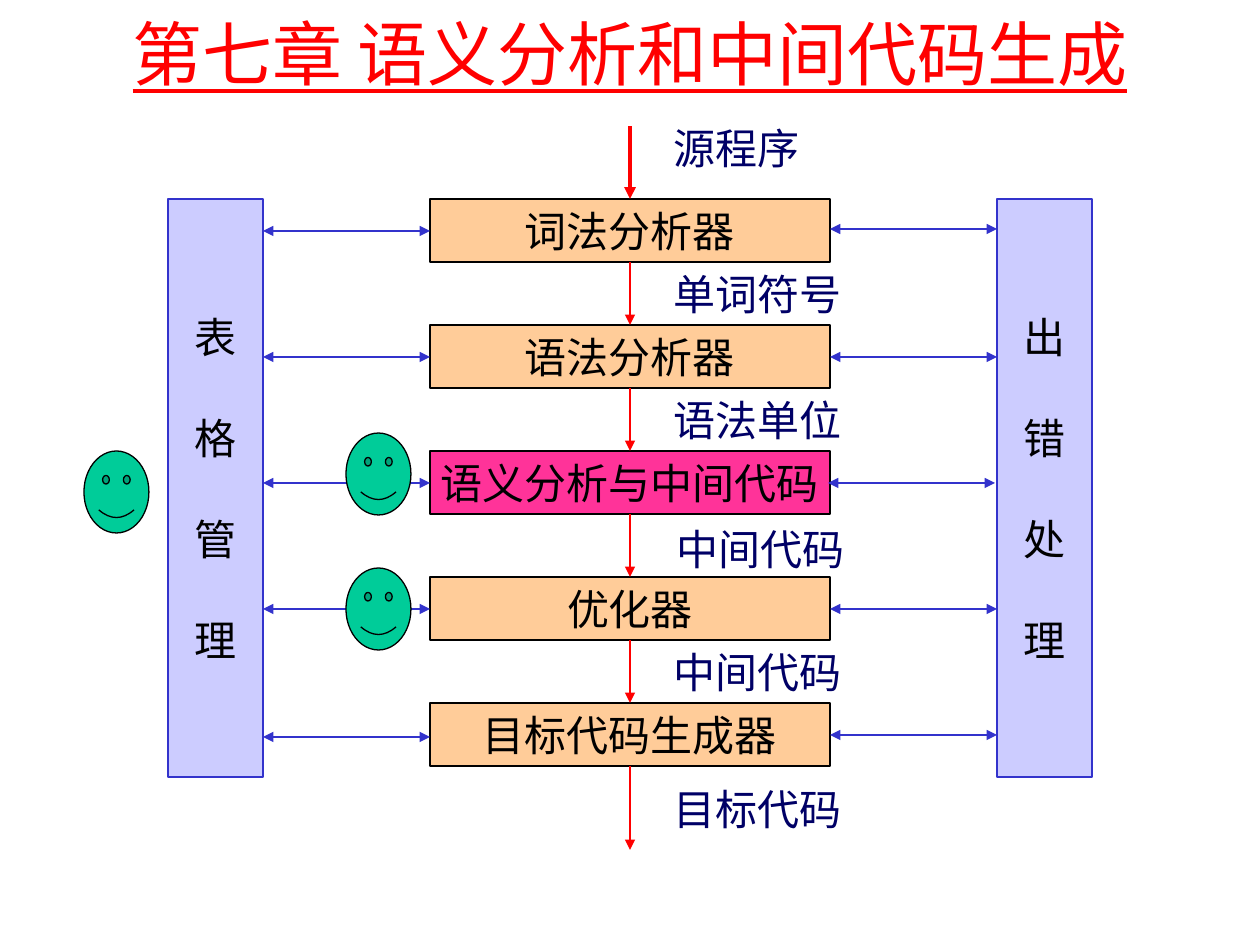
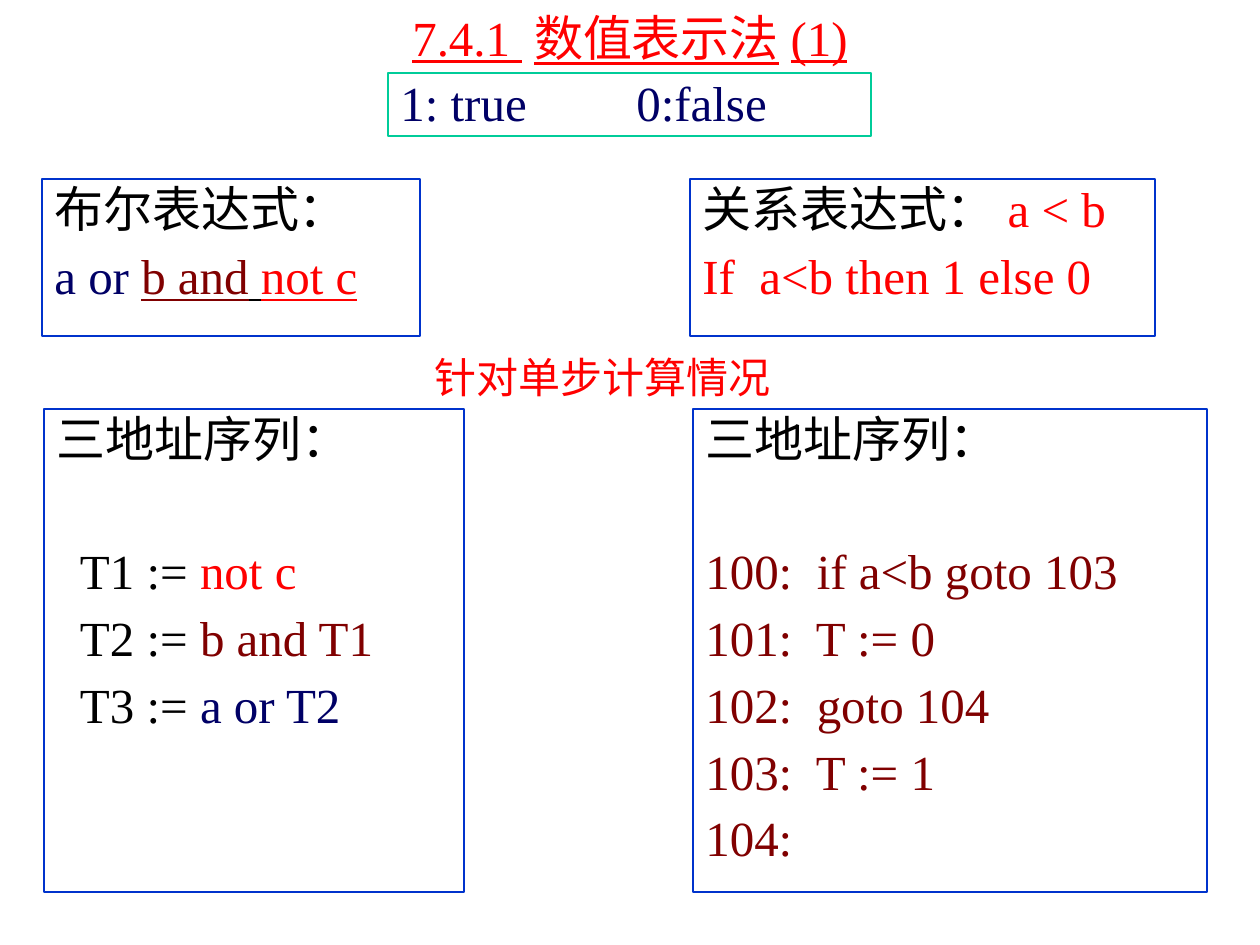
from lxml.etree import SubElement
from pptx import Presentation
from pptx.dml.color import RGBColor
from pptx.enum.shapes import MSO_CONNECTOR, MSO_SHAPE as Preset
from pptx.enum.text import MSO_ANCHOR as Anchor, PP_ALIGN as Align
from pptx.oxml.ns import qn
from pptx.util import Emu, Pt

PX = 914400 / 126
FONT = "Times New Roman"
COLORS = {
    "red": "FF0000", "black": "000000", "navy": "000066", "maroon": "800000",
    "orange": "FFCC99", "pink": "FF3399", "lavender": "CCCCFF",
    "indigo": "3333CC", "blue": "0033CC", "green": "00CC99",
}

# Compiler stages: name, fill, y of left arrow, y of right arrow, shift of right arrow
STAGES = [
    ("词法分析器", "orange", 231, 229, 0),
    ("语法分析器", "orange", 357, 357, 0),
    ("语义分析与中间代码", "pink", 483, 483, -2),
    ("优化器", "orange", 609, 609, 0),
    ("目标代码生成器", "orange", 737, 735, 0),
]
STAGE_LEFT, STAGE_TOP, STAGE_WIDTH, STAGE_HEIGHT, STAGE_PITCH = 430, 199, 400, 63, 126
FLOW_X, FLOW_START, FLOW_END = 630, 126, 850
FLOW_LABELS = [
    ("源程序", 661, 116), ("单词符号", 661, 262), ("语法单位", 661, 388),
    ("中间代码", 664, 517), ("中间代码", 661, 640), ("目标代码", 661, 777),
]
SIDE_BARS = [("表格管理", 168), ("出错处理", 997)]
BAR_WIDTH, BAR_HEIGHT = 95, 578
BAR_LETTER_GAP = 29
FACES = [(346, 433), (346, 568), (84, 451)]

# Panels: box, line colour, paragraphs of (text, colour, underlined) runs
SEQUENCE_HEADING = [("三地址序列：", "black", False)]
PANELS = [
    ((388, 73, 483, 63), "green", [[("1: true\t0:false", "navy", False)]]),
    ((42, 179, 378, 157), "blue", [
        [("布尔表达式：", "black", False)],
        [("a or ", "navy", False), ("b and", "maroon", True),
         (" ", "black", True), ("not c", "red", True)],
    ]),
    ((690, 179, 465, 157), "blue", [
        [("关系表达式：", "black", False), ("a < b", "red", False)],
        [("If  a<b then 1 else 0", "red", False)],
    ]),
    ((44, 409, 420, 483), "blue", [SEQUENCE_HEADING] + [
        [(f"  {target} := ", "black", False), (value, color, False)]
        for target, value, color in [
            ("T1", "not c", "red"), ("T2", "b and T1", "maroon"), ("T3", "a or T2", "navy")]
    ]),
    ((693, 409, 514, 483), "blue", [SEQUENCE_HEADING] + [
        [(line, "maroon", False)] for line in [
            "100:  if a<b goto 103", "101:  T := 0", "102:  goto 104", "103:  T := 1", "104:"]
    ]),
]
PANEL_GAP, HEADING_GAP = 8, 45
FALSE_TAB = 236


def px(length):
    return Emu(round(length * PX))


def rgb(name):
    return RGBColor.from_string(COLORS[name])


def style(font, size, color, underline=False):
    font.name = FONT
    font.size = Pt(size)
    font.color.rgb = rgb(color)
    if underline:
        font.underline = True


def add_label(slide, text, box, size, color, align=Align.LEFT, anchor=Anchor.TOP,
              underline=False):
    text_frame = slide.shapes.add_textbox(*map(px, box)).text_frame
    text_frame.word_wrap = True
    text_frame.vertical_anchor = anchor
    text_frame.text = text
    paragraph = text_frame.paragraphs[0]
    paragraph.alignment = align
    style(paragraph.runs[0].font, size, color, underline)


def add_title(slide, text, top, height, size):
    add_label(slide, text, (95, top, 1070, height), size, "red", Align.CENTER,
              Anchor.MIDDLE, underline=True)


def add_preset(slide, preset, box, line, fill=None):
    shape = slide.shapes.add_shape(preset, *map(px, box))
    shape.shadow.inherit = False
    if fill:
        shape.fill.solid()
        shape.fill.fore_color.rgb = rgb(fill)
    else:
        shape.fill.background()
    shape.line.color.rgb = rgb(line)
    shape.line.width = Pt(0.75)
    return shape


def add_block(slide, box, line, fill, lines, gap=0):
    """Filled rectangle with centred black lines, gap points apart."""
    text_frame = add_preset(slide, Preset.RECTANGLE, box, line, fill).text_frame
    text_frame.word_wrap = False
    text_frame.vertical_anchor = Anchor.MIDDLE
    text_frame.text = "\n".join(lines)
    for index, paragraph in enumerate(text_frame.paragraphs):
        paragraph.alignment = Align.CENTER
        if index:
            paragraph.space_before = Pt(gap)
        style(paragraph.runs[0].font, 24, "black")


def add_arrow(slide, start, end, color, width=0.75, both=False):
    connector = slide.shapes.add_connector(
        MSO_CONNECTOR.STRAIGHT, *map(px, (*start, *end)))
    connector.line.color.rgb = rgb(color)
    connector.line.width = Pt(width)
    line = connector.line._get_or_add_ln()
    for tag in ("a:headEnd", "a:tailEnd") if both else ("a:tailEnd",):
        SubElement(line, qn(tag), type="triangle")
    SubElement(connector._element.spPr, qn("a:effectLst"))


def add_panel(slide, box, line, paragraphs):
    text_frame = add_preset(slide, Preset.RECTANGLE, box, line).text_frame
    text_frame.word_wrap = True
    text_frame.vertical_anchor = Anchor.TOP
    for index, runs in enumerate(paragraphs):
        paragraph = text_frame.add_paragraph() if index else text_frame.paragraphs[0]
        if "\t" in runs[0][0]:
            tabs = SubElement(paragraph._p.get_or_add_pPr(), qn("a:tabLst"))
            SubElement(tabs, qn("a:tab"), pos=str(px(FALSE_TAB)), algn="l")
        paragraph.alignment = Align.LEFT
        paragraph.line_spacing = 0.9
        if index:
            after_heading = index == 1 and paragraphs[0] is SEQUENCE_HEADING
            paragraph.space_before = Pt(HEADING_GAP if after_heading else PANEL_GAP)
        for text, color, underline in runs:
            run = paragraph.add_run()
            run.text = text
            style(run.font, 28, color, underline)


def build_compiler_slide(slide):
    add_title(slide, "第七章 语义分析和中间代码生成", 21, 63, 40)
    tops = [STAGE_TOP + STAGE_PITCH * row for row in range(len(STAGES))]
    stage_right = STAGE_LEFT + STAGE_WIDTH
    (_, left_bar), (_, right_bar) = SIDE_BARS

    for (name, fill, *_), top in zip(STAGES, tops):
        add_block(slide, (STAGE_LEFT, top, STAGE_WIDTH, STAGE_HEIGHT), "black", fill, [name])
    for name, left in SIDE_BARS:
        add_block(slide, (left, STAGE_TOP, BAR_WIDTH, BAR_HEIGHT), "indigo", "lavender",
                  name, BAR_LETTER_GAP)

    starts = [FLOW_START] + [top + STAGE_HEIGHT for top in tops]
    for index, (start, end) in enumerate(zip(starts, tops + [FLOW_END])):
        add_arrow(slide, (FLOW_X, start), (FLOW_X, end), "red", 0.75 if index else 2.25)
    for *_, left_y, right_y, shift in STAGES:
        add_arrow(slide, (left_bar + BAR_WIDTH, left_y), (STAGE_LEFT, left_y),
                  "indigo", both=True)
        add_arrow(slide, (stage_right + shift, right_y), (right_bar + shift, right_y),
                  "indigo", both=True)

    for text, left, top in FLOW_LABELS:
        add_label(slide, text, (left, top, 218, 63), 24, "navy")
    for left, top in FACES:
        add_preset(slide, Preset.SMILEY_FACE, (left, top, 65, 82), "black", "green")


def build_boolean_slide(slide):
    add_title(slide, "7.4.1 数值表示法(1)", 0, 73, 28)
    for panel in PANELS:
        add_panel(slide, *panel)
    add_label(slide, "针对单步计算情况", (422, 345, 361, 63), 24, "red")


def main():
    presentation = Presentation()
    presentation.slide_width, presentation.slide_height = px(1260), px(945)
    blank = presentation.slide_layouts[6]
    for build in (build_compiler_slide, build_boolean_slide):
        build(presentation.slides.add_slide(blank))
    presentation.save("out.pptx")


if __name__ == "__main__":
    main()
